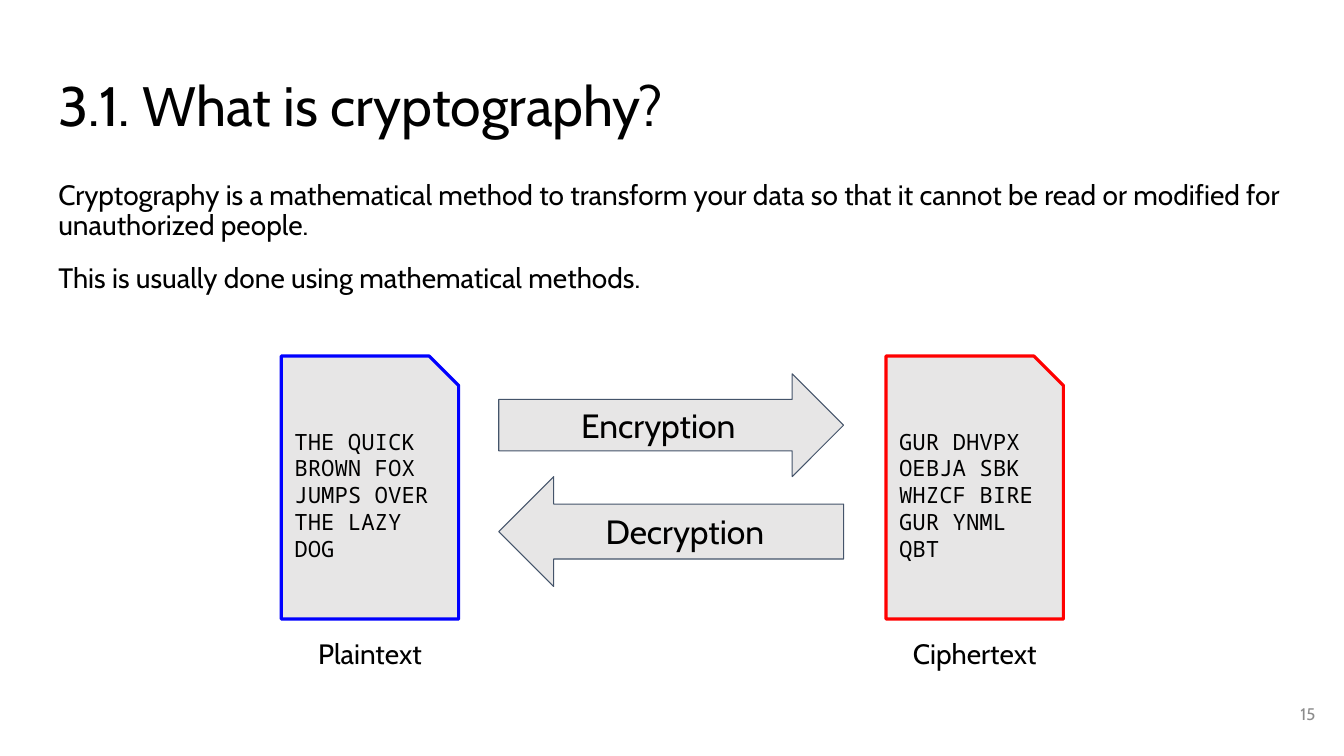
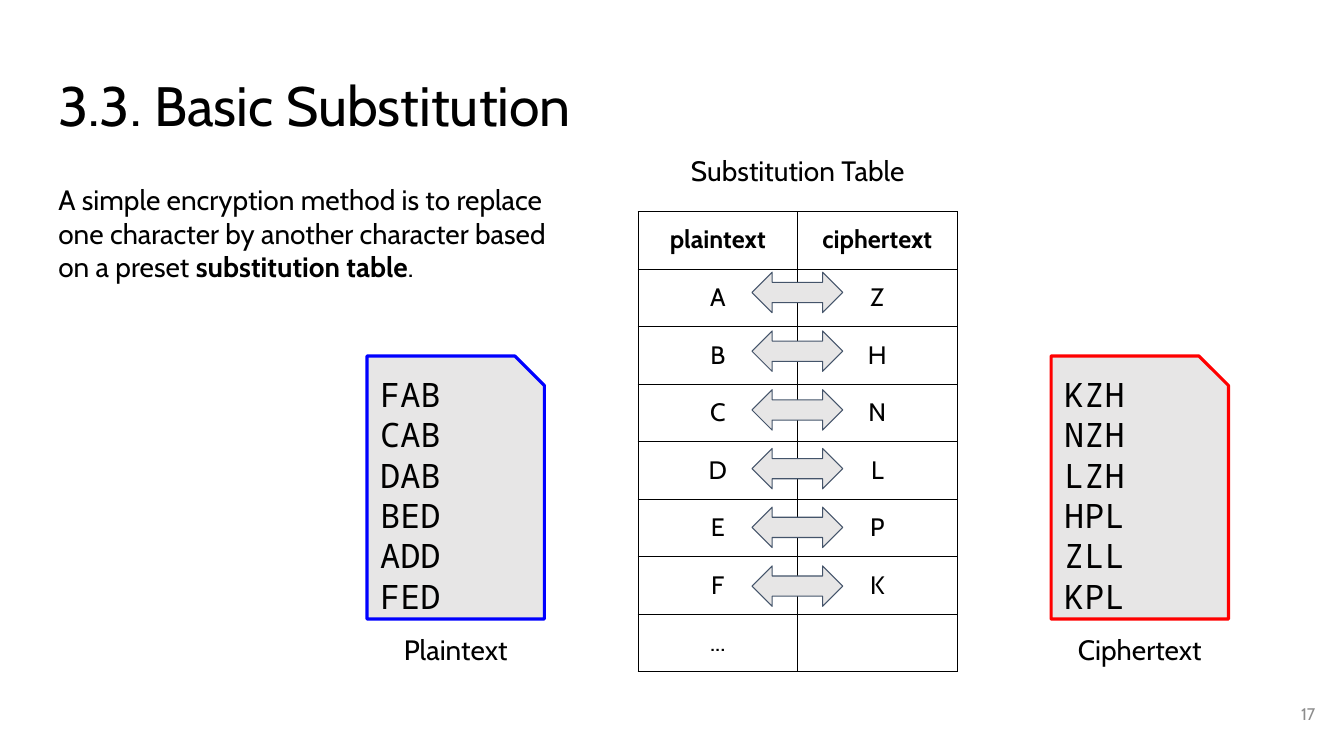
"""Build two slides that introduce cryptography and basic substitution."""
from lxml import etree
from pptx import Presentation
from pptx.dml.color import RGBColor
from pptx.enum.shapes import MSO_SHAPE
from pptx.enum.text import MSO_ANCHOR, PP_ALIGN
from pptx.oxml.ns import qn
from pptx.util import Cm, Pt

LEFT, CENTER, RIGHT = PP_ALIGN.LEFT, PP_ALIGN.CENTER, PP_ALIGN.RIGHT
TOP, MIDDLE = MSO_ANCHOR.TOP, MSO_ANCHOR.MIDDLE
SHEET = MSO_SHAPE.SNIP_1_RECTANGLE
RIGHT_ARROW, LEFT_ARROW = MSO_SHAPE.RIGHT_ARROW, MSO_SHAPE.LEFT_ARROW
DOUBLE_ARROW = MSO_SHAPE.LEFT_RIGHT_ARROW

BLACK = RGBColor(0x00, 0x00, 0x00)
PALE = RGBColor(0xE7, 0xE6, 0xE6)
SLATE = RGBColor(0x44, 0x54, 0x6A)
GREY = RGBColor(0x8C, 0x8C, 0x8C)
BLUE = RGBColor(0x00, 0x00, 0xFF)
RED = RGBColor(0xFF, 0x00, 0x00)
SANS, MONO = "Cabin", "Noto Sans Mono"

MARGIN, INSET = 1.14, 0.33
SHEET_TOP, SHEET_W, SHEET_H = 8.97, 4.47, 6.63
CAPTION_H = 1.55

INTRO = {
    "title": "3.1. What is cryptography?",
    "page": "15",
    "body": [
        "Cryptography is a mathematical method to transform your data so that "
        "it cannot be read or modified for unauthorized people.",
        "This is usually done using mathematical methods.",
    ],
    "sheets": [
        (7.09, "Plaintext", BLUE, "THE QUICK BROWN FOX JUMPS OVER THE LAZY DOG"),
        (22.33, "Ciphertext", RED, "GUR DHVPX OEBJA SBK WHZCF BIRE GUR YNML QBT"),
    ],
    "arrows": [
        (RIGHT_ARROW, 9.42, 2.59, "Encryption"),
        (LEFT_ARROW, 12.01, 2.77, "Decryption"),
    ],
}
SUBSTITUTION = {
    "title": "3.3. Basic Substitution",
    "page": "17",
    "body": [
        "A simple encryption method is to replace one character by another "
        "character based on a preset ",
        "substitution table",
        ".",
    ],
    "sheets": [
        (9.25, "Plaintext", BLUE, "FAB CAB DAB BED ADD FED"),
        (26.49, "Ciphertext", RED, "KZH NZH LZH HPL ZLL KPL"),
    ],
    "caption": "Substitution Table",
    "rows": [
        ("plaintext", "ciphertext"),
        ("A", "Z"), ("B", "H"), ("C", "N"),
        ("D", "L"), ("E", "P"), ("F", "K"),
        ("...", ""),
    ],
}


def style_runs(p, size, font=SANS, color=BLACK, bold=False):
    for r in p.runs:
        r.font.size, r.font.name, r.font.bold = Pt(size), font, bold
        r.font.color.rgb = color


def set_insets(box, inset=INSET):
    box.margin_left = box.margin_right = Cm(inset)
    box.margin_top = box.margin_bottom = Cm(inset)


def write(sp, lines, size, font=SANS, color=BLACK, align=LEFT, anchor=TOP,
          inset=INSET, spacing=None):
    tf = sp.text_frame
    tf.word_wrap = True
    tf.vertical_anchor = anchor
    set_insets(tf, inset)
    tf.text = "\n".join(lines)
    for p in tf.paragraphs:
        p.alignment, p.line_spacing = align, spacing
        style_runs(p, size, font, color)
    return tf


def add_text(slide, box, lines, size, **style):
    sp = slide.shapes.add_textbox(*map(Cm, box))
    return write(sp, lines, size, **style)


def add_shape(slide, kind, box, line=SLATE, width=0.75):
    sp = slide.shapes.add_shape(kind, *map(Cm, box))
    sp.shadow.inherit = False
    sp.fill.solid()
    sp.fill.fore_color.rgb = PALE
    sp.line.color.rgb = line
    sp.line.width = Pt(width)
    return sp


def add_sheets(slide, sheets, size, caption_top):
    for x, caption, color, text in sheets:
        sp = add_shape(slide, SHEET, (x, SHEET_TOP, SHEET_W, SHEET_H), color, 2.25)
        write(sp, [text], size, font=MONO, anchor=MIDDLE)
        add_text(slide, (x, caption_top, SHEET_W, CAPTION_H), [caption], 20, align=CENTER)


def add_borders(cell):
    tc_pr = cell._tc.get_or_add_tcPr()
    for i, side in enumerate(("a:lnL", "a:lnR", "a:lnT", "a:lnB")):
        ln = etree.Element(qn(side), w=str(Pt(0.75)))
        fill = etree.SubElement(ln, qn("a:solidFill"))
        etree.SubElement(fill, qn("a:srgbClr"), val=str(BLACK))
        tc_pr.insert(i, ln)


def add_substitution_table(slide, rows, x, y, col_w, row_h):
    cols = len(rows[0])
    frame = slide.shapes.add_table(len(rows), cols, Cm(x), Cm(y),
                                   Cm(cols * col_w), Cm(len(rows) * row_h))
    table = frame.table
    table.first_row = table.horz_banding = False
    for i, row in enumerate(rows):
        for j, text in enumerate(row):
            cell = table.cell(i, j)
            cell.text = text
            cell.fill.background()
            set_insets(cell)
            add_borders(cell)
            p = cell.text_frame.paragraphs[0]
            p.alignment = CENTER
            style_runs(p, 18, bold=i == 0)


def add_slide(prs, content):
    slide = prs.slides.add_slide(prs.slide_layouts[6])
    add_text(slide, (MARGIN, 1.65, 31.55, 2.13), [content["title"]], 39.6, spacing=0.9)
    add_text(slide, (31.37, 17.27, 2.03, 1.45), [content["page"]], 12, color=GREY,
             align=RIGHT, anchor=MIDDLE, inset=0.25)
    return slide


def build_intro(prs):
    slide = add_slide(prs, INTRO)
    tf = add_text(slide, (MARGIN, 4.24, 31.55, 4), INTRO["body"], 20, spacing=0.9)
    for p in tf.paragraphs[1:]:
        p.space_before = Pt(16)
    add_sheets(slide, INTRO["sheets"], 16, 15.72)
    for kind, y, h, label in INTRO["arrows"]:
        sp = add_shape(slide, kind, (12.57, y, 8.69, h))
        write(sp, [label], 24, align=CENTER, anchor=MIDDLE)


def build_substitution(prs):
    slide = add_slide(prs, SUBSTITUTION)
    lead, term, end = SUBSTITUTION["body"]
    tf = add_text(slide, (MARGIN, 4.27, 13.56, 4.72), [lead], 20)
    p = tf.paragraphs[0]
    for text in (term, end):
        p.add_run().text = text
    style_runs(p, 20)
    p.runs[1].font.bold = True

    rows = SUBSTITUTION["rows"]
    add_substitution_table(slide, rows, 16.08, 5.33, 4.02, 1.45)
    add_sheets(slide, SUBSTITUTION["sheets"], 24, 15.6)
    for i in range(len(rows) - 2):
        add_shape(slide, DOUBLE_ARROW, (18.95, 6.86 + i * 1.48, 2.29, 1.02))
    add_text(slide, (16.51, 3.53, 7.19, CAPTION_H), [SUBSTITUTION["caption"]], 20,
             align=CENTER)


def main():
    prs = Presentation()
    prs.slide_width, prs.slide_height = Cm(33.87), Cm(19.05)
    build_intro(prs)
    build_substitution(prs)
    prs.save("out.pptx")


if __name__ == "__main__":
    main()
